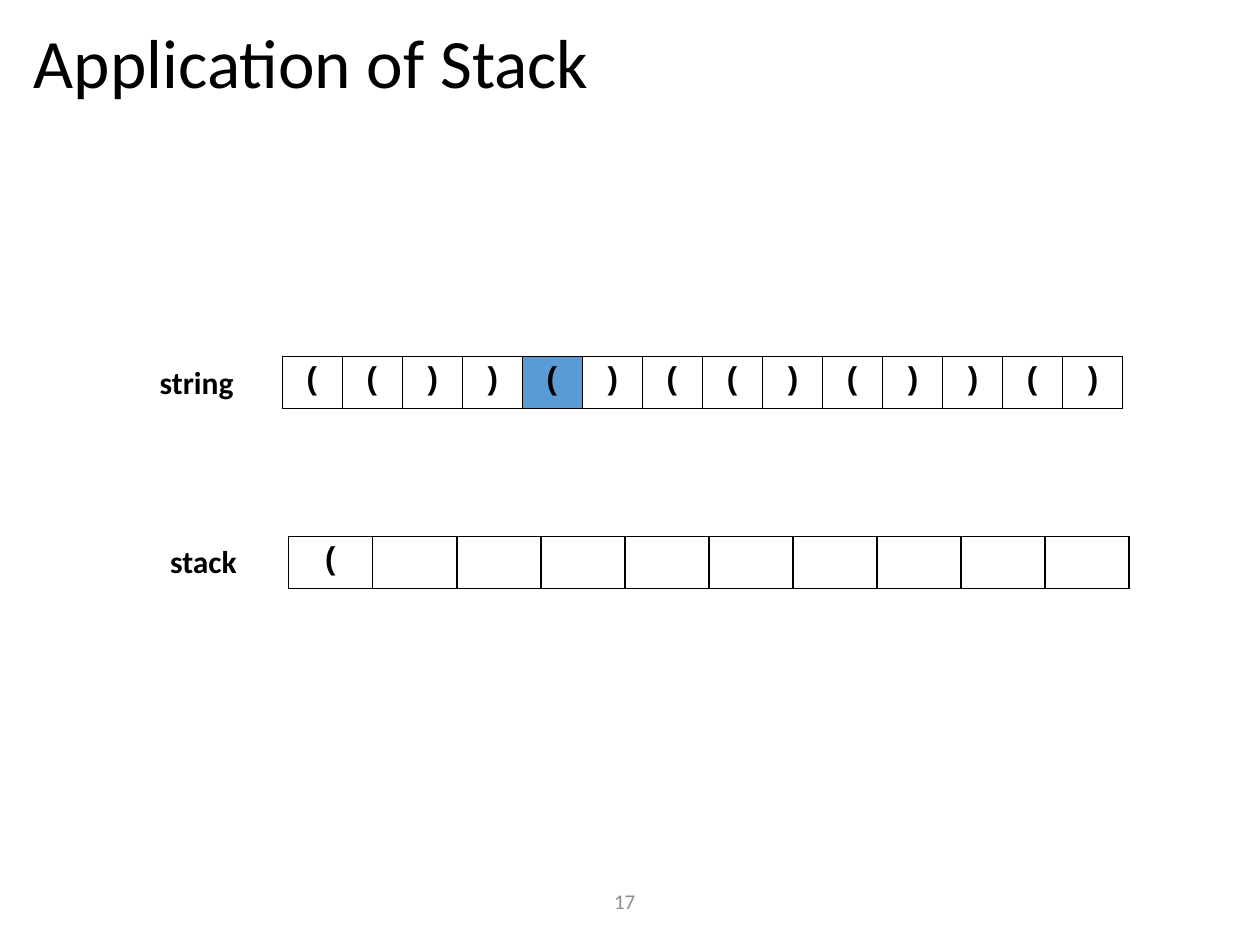
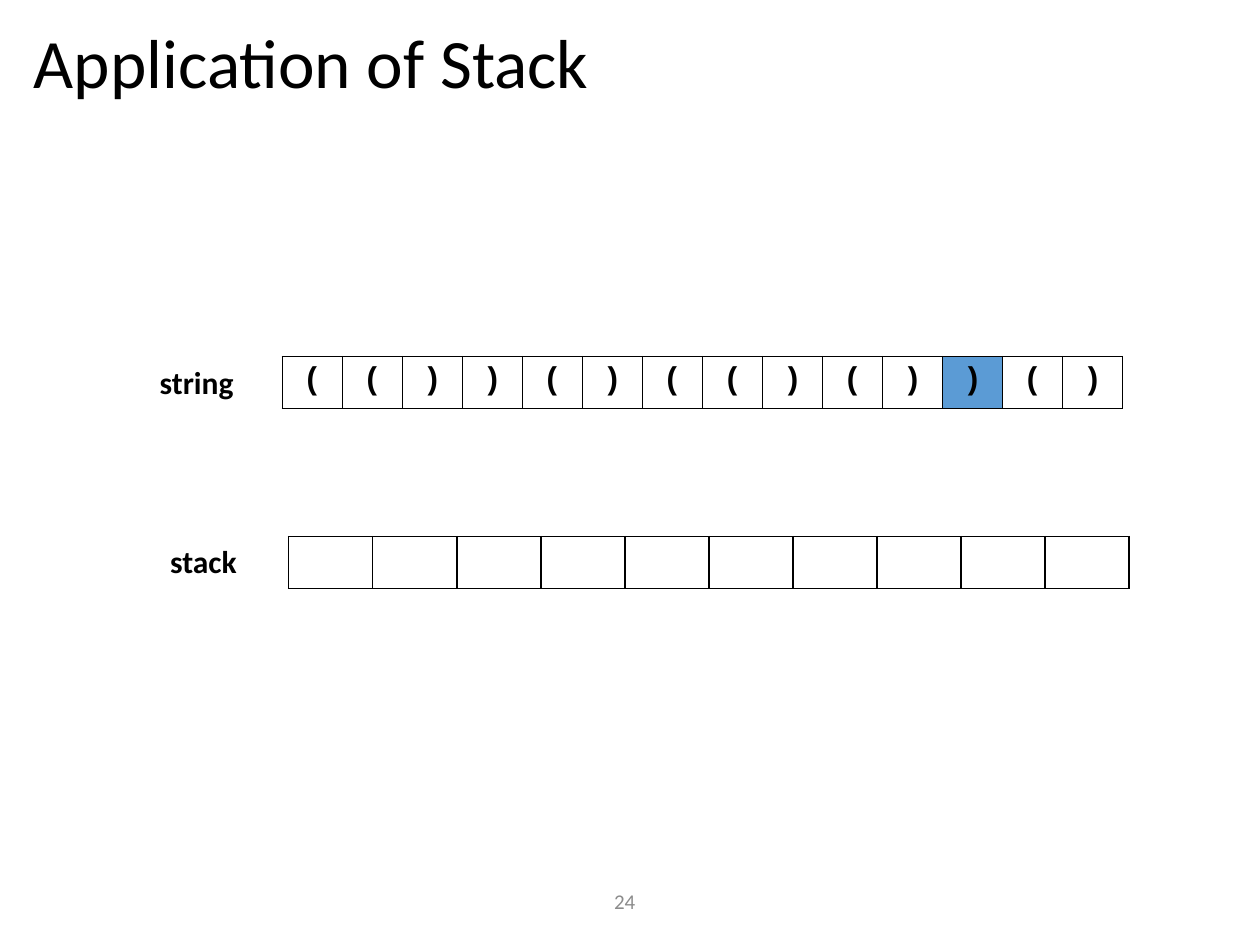
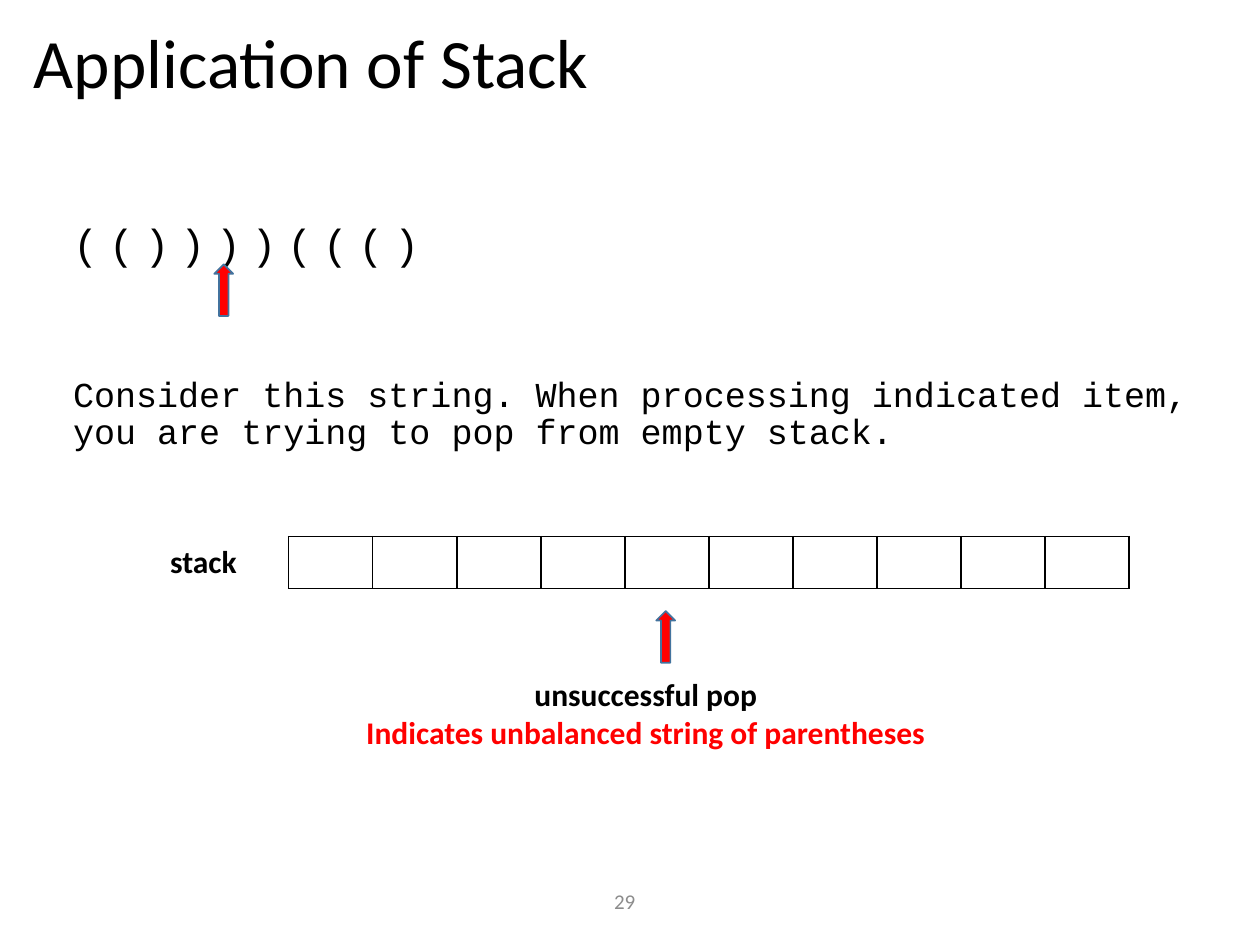
"""Build three slides that check balanced parentheses with a stack."""
import pptx
import pptx.dml.color
import pptx.enum.shapes
import pptx.enum.text
import pptx.oxml
import pptx.oxml.ns
import pptx.util
from lxml import etree

Cm = pptx.util.Cm
Pt = pptx.util.Pt
RGBColor = pptx.dml.color.RGBColor
ALIGN = pptx.enum.text.PP_ALIGN
ANCHOR = pptx.enum.text.MSO_ANCHOR
FIT = pptx.enum.text.MSO_AUTO_SIZE

BLACK = RGBColor(0x00, 0x00, 0x00)
GREY = RGBColor(0x8C, 0x8C, 0x8C)
BLUE = RGBColor(0x5B, 0x9B, 0xD5)
DARK_BLUE = RGBColor(0x43, 0x73, 0x9E)
RED = RGBColor(0xFF, 0x00, 0x00)

TITLE = "Application of Stack"
BALANCED = "(())()(()())()"
STACK_SIZE = 10
PAGES = [
    {"number": 17, "string": BALANCED, "current": 4, "stack": "("},
    {"number": 24, "string": BALANCED, "current": 11, "stack": ""},
    {
        "number": 29,
        "stack": "",
        "body": [
            ("(())))((()", 24, 6, 0),
            ("Consider this string. When processing indicated item, "
             "you are trying to pop from empty stack.", 20, 0, 62),
        ],
        "verdict": [("unsuccessful pop", BLACK),
                    ("Indicates unbalanced string of parentheses", RED)],
        "arrows": [(13.23, 12.32), (4.32, 5.33)],
    },
]

TITLE_BOX = (0.43, 0.46, 24.43, 1.88)
BODY_BOX = (1.22, 4.37, 23.11, 12.42)
NUMBER_BOX = (6.65, 17.65, 11.89, 1.02)
VERDICT_BOX = (6.02, 13.49, 14, 1.8)
STRING_LABEL_BOX = (2.97, 7.19, 2.36, 1.02)
STACK_LABEL_BOX = (3.18, 10.8, 2.26, 1.02)
STRING_CORNER = (5.69, 7.19)
STACK_CORNER = (5.82, 10.82)
ROW_WIDTH, ROW_HEIGHT = 16.94, 1.04
ARROW_SIZE = (0.38, 1.04)


def lengths(values):
    return [Cm(value) for value in values]


def place(shape, box):
    shape.left, shape.top, shape.width, shape.height = lengths(box)


def style(para, size, color=BLACK, name="Calibri", bold=False, align=ALIGN.LEFT):
    para.alignment = align
    for span in para.runs:
        span.font.name = name
        span.font.size = Pt(size)
        span.font.bold = bold
        span.font.color.rgb = color


def add_text(page, box, lines, size, bold=True, align=ALIGN.LEFT, anchor=ANCHOR.TOP):
    frame = page.shapes.add_textbox(*lengths(box)).text_frame
    frame.word_wrap = True
    frame.vertical_anchor = anchor
    frame.text = "\n".join(text for text, color in lines)
    for para, (text, color) in zip(frame.paragraphs, lines):
        style(para, size, color, bold=bold, align=align)


def add_borders(cell):
    properties = cell._tc.get_or_add_tcPr()
    for position, side in enumerate(("lnL", "lnR", "lnT", "lnB")):
        properties.insert(position, pptx.oxml.parse_xml(
            f'<a:{side} {pptx.oxml.ns.nsdecls("a")} w="12700"><a:solidFill>'
            f'<a:srgbClr val="{BLACK}"/></a:solidFill></a:{side}>'))


def add_cells(page, corner, symbols, current=None):
    box = lengths((*corner, ROW_WIDTH, ROW_HEIGHT))
    table = page.shapes.add_table(1, len(symbols), *box).table
    table.first_row = table.horz_banding = False
    for index, symbol in enumerate(symbols):
        table.columns[index].width = Cm(ROW_WIDTH / len(symbols))
        cell = table.cell(0, index)
        cell.fill.background()
        if index == current:
            cell.fill.solid()
            cell.fill.fore_color.rgb = BLUE
        if symbol:
            cell.text = symbol
            style(cell.text_frame.paragraphs[0], 18, name="Courier New",
                  bold=True, align=ALIGN.CENTER)
        add_borders(cell)


def fill_title(page):
    title = page.shapes.title
    place(title, TITLE_BOX)
    frame = title.text_frame
    frame.text = TITLE
    frame.auto_size = FIT.NONE
    frame.vertical_anchor = ANCHOR.TOP
    frame.paragraphs[0].line_spacing = 0.9
    style(frame.paragraphs[0], 39.6)


def fill_body(page, lines):
    body = page.placeholders[1]
    place(body, BODY_BOX)
    frame = body.text_frame
    frame.auto_size = FIT.NONE
    frame.text = "\n".join(line[0] for line in lines)
    for para, (text, size, spacing, before) in zip(frame.paragraphs, lines):
        properties = para._p.get_or_add_pPr()
        properties.set("marL", "0")
        properties.set("indent", "0")
        etree.SubElement(properties, pptx.oxml.ns.qn("a:buNone"))
        para.line_spacing = 0.9
        para.space_before = Pt(before)
        style(para, size, name="Courier New")
        para.runs[0].font._element.set("spc", str(spacing * 100))


def add_arrow(page, corner):
    arrow = page.shapes.add_shape(
        pptx.enum.shapes.MSO_SHAPE.UP_ARROW, *lengths((*corner, *ARROW_SIZE)))
    arrow.shadow.inherit = False
    arrow.fill.solid()
    arrow.fill.fore_color.rgb = RED
    arrow.line.color.rgb = DARK_BLUE
    arrow.line.width = Pt(1)


def build_page(deck, content):
    layout = deck.slide_layouts[1 if "body" in content else 5]
    page = deck.slides.add_slide(layout)
    fill_title(page)
    add_text(page, NUMBER_BOX, [(str(content["number"]), GREY)], 12,
             bold=False, align=ALIGN.CENTER, anchor=ANCHOR.MIDDLE)
    if "body" in content:
        fill_body(page, content["body"])
    stack = list(content["stack"])
    add_cells(page, STACK_CORNER, stack + [""] * (STACK_SIZE - len(stack)))
    add_text(page, STACK_LABEL_BOX, [("stack", BLACK)], 18)
    if "string" in content:
        add_cells(page, STRING_CORNER, content["string"], content["current"])
        add_text(page, STRING_LABEL_BOX, [("string", BLACK)], 18)
    if "verdict" in content:
        add_text(page, VERDICT_BOX, content["verdict"], 18, align=ALIGN.CENTER)
    for corner in content.get("arrows", []):
        add_arrow(page, corner)


def main():
    deck = pptx.Presentation()
    deck.slide_width, deck.slide_height = Cm(25.4), Cm(19.05)
    for content in PAGES:
        build_page(deck, content)
    deck.save("out.pptx")


if __name__ == "__main__":
    main()
